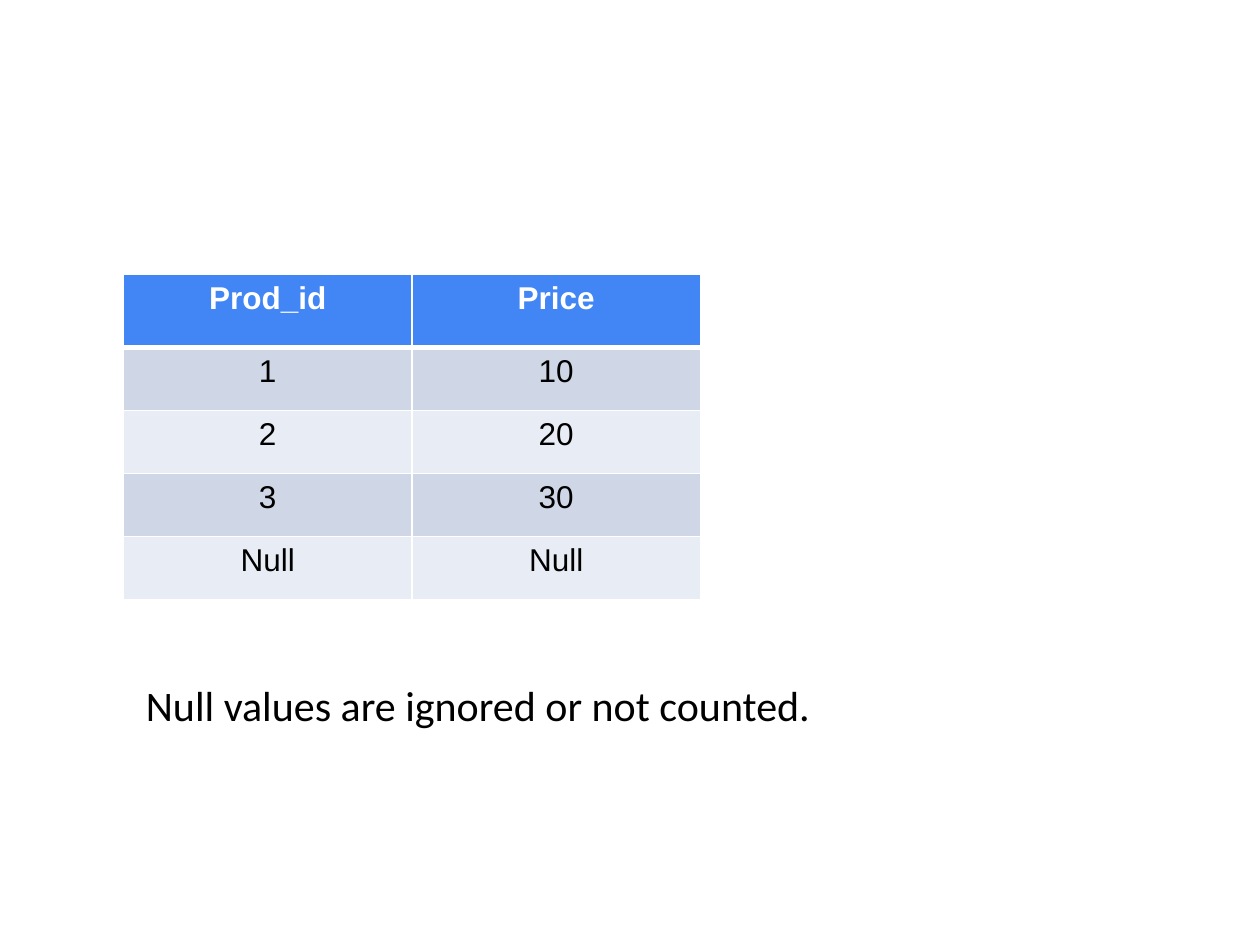
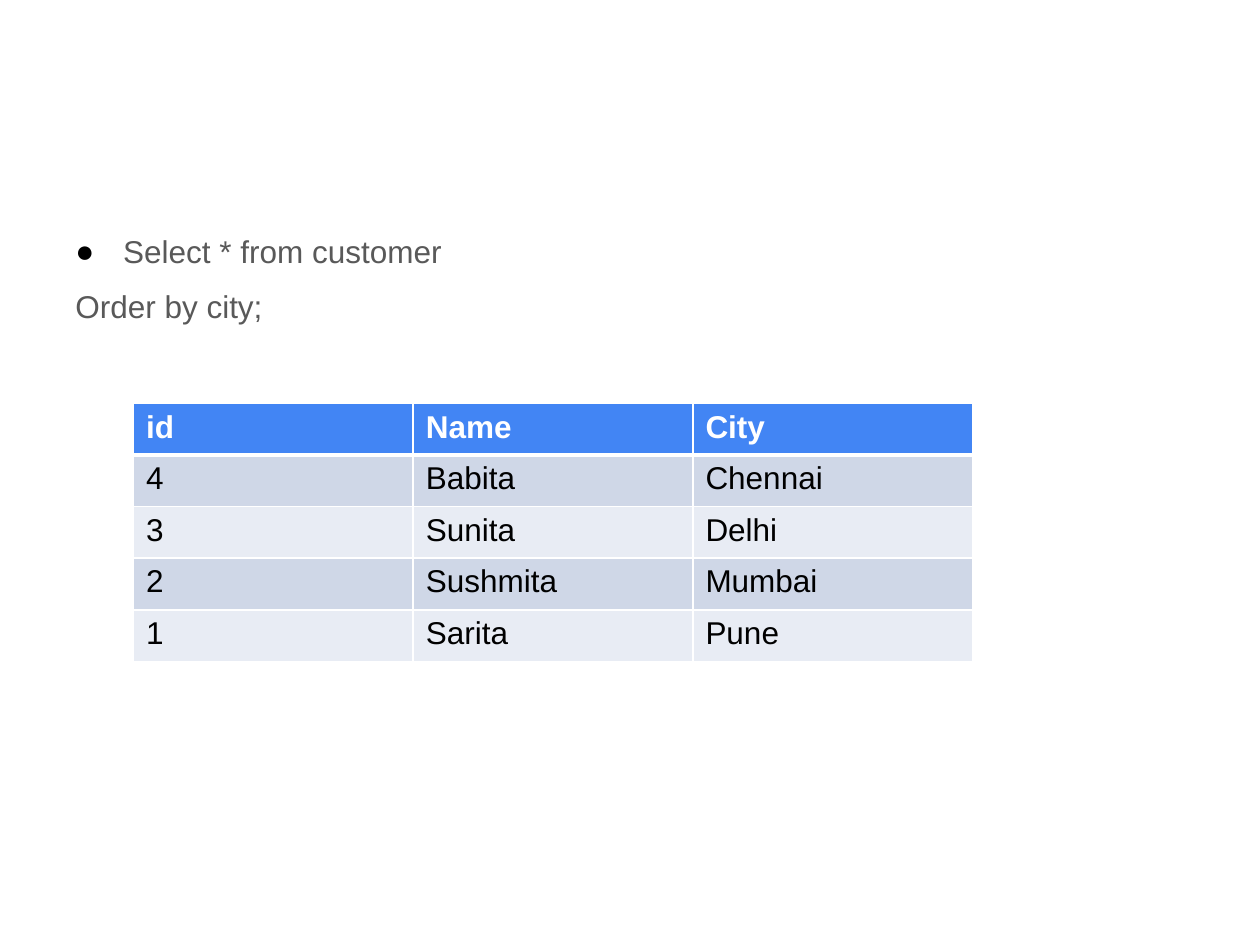
import dataclasses
import typing

import lxml.etree
import pptx
import pptx.dml.color
import pptx.enum.text
import pptx.oxml.ns
import pptx.util

Inches = pptx.util.Inches
Align = pptx.enum.text.PP_ALIGN
qn = pptx.oxml.ns.qn


@dataclasses.dataclass(frozen=True)
class Theme:
    white: str = "FFFFFF"
    black: str = "000000"
    grey: str = "595959"
    head: str = "4285F4"
    bands: tuple[str, str] = ("CFD7E7", "E8ECF4")
    sans: str = "Arial"
    note: str = "Calibri"
    body: int = 18
    large: int = 24
    thin: int = 1
    thick: int = 3


@dataclasses.dataclass(frozen=True)
class Grid:
    left: float
    top: float
    width: float
    heights: tuple[float, ...]
    rows: tuple[tuple[str, ...], ...]
    align: typing.Any = Align.LEFT


THEME = Theme()

PRICES = Grid(
    0.98, 2.18, 2.29, (0.58,) + (0.5,) * 4,
    (("Prod_id", "Price"), ("1", "10"), ("2", "20"), ("3", "30"), ("Null", "Null")),
    Align.CENTER,
)
CITIES = Grid(
    1.06, 3.2, 2.22, (0.41,) * 5,
    (
        ("id", "Name", "City"),
        ("4", "Babita", "Chennai"),
        ("3", "Sunita", "Delhi"),
        ("2", "Sushmita", "Mumbai"),
        ("1", "Sarita", "Pune"),
    ),
)


def tint(code: str) -> pptx.dml.color.RGBColor:
    return pptx.dml.color.RGBColor.from_string(code)


def bullet(para: typing.Any, mark: str, indent: float) -> None:
    props = para._p.get_or_add_pPr()
    props.set("marL", str(Inches(indent)))
    props.set("indent", str(-Inches(indent)))
    color = lxml.etree.SubElement(props, qn("a:buClr"))
    lxml.etree.SubElement(color, qn("a:srgbClr"), val=THEME.black)
    lxml.etree.SubElement(props, qn("a:buFont"), typeface=THEME.sans)
    lxml.etree.SubElement(props, qn("a:buChar"), char=mark)


def write(
    para: typing.Any, text: str, *, size: int = THEME.body, font: str = THEME.sans,
    color: str = THEME.black, bold: bool = False, align: typing.Any = Align.LEFT,
    mark: str = "", indent: float = 0.38, line: float = 1.0, before: float = 0,
) -> None:
    if mark:
        bullet(para, mark, indent)
    para.alignment = align
    para.line_spacing = line
    para.space_before = pptx.util.Pt(before)
    run = para.add_run()
    run.text = text
    run.font.size = pptx.util.Pt(size)
    run.font.name = font
    run.font.bold = bold
    run.font.color.rgb = tint(color)


def add_box(slide: typing.Any, left: float, top: float, width: float, height: float) -> typing.Any:
    shape = slide.shapes.add_textbox(Inches(left), Inches(top), Inches(width), Inches(height))
    shape.text_frame.word_wrap = True
    return shape.text_frame


def edge(cell: typing.Any, row: int) -> None:
    props = cell._tc.get_or_add_tcPr()
    thick = {0: "lnB", 1: "lnT"}.get(row)
    for side in ("lnL", "lnR", "lnT", "lnB"):
        width = THEME.thick if side == thick else THEME.thin
        rule = lxml.etree.SubElement(props, qn(f"a:{side}"), w=str(pptx.util.Pt(width)))
        fill = lxml.etree.SubElement(rule, qn("a:solidFill"))
        lxml.etree.SubElement(fill, qn("a:srgbClr"), val=THEME.white)


def add_grid(slide: typing.Any, grid: Grid) -> None:
    cols = len(grid.rows[0])
    table = slide.shapes.add_table(
        len(grid.rows), cols, Inches(grid.left), Inches(grid.top),
        Inches(grid.width * cols), Inches(sum(grid.heights)),
    ).table
    for column in table.columns:
        column.width = Inches(grid.width)
    for row, (values, height) in enumerate(zip(grid.rows, grid.heights)):
        table.rows[row].height = Inches(height)
        head = row == 0
        for col, value in enumerate(values):
            cell = table.cell(row, col)
            edge(cell, row)
            cell.fill.solid()
            cell.fill.fore_color.rgb = tint(THEME.head if head else THEME.bands[(row - 1) % 2])
            write(
                cell.text_frame.paragraphs[0], value, bold=head, align=grid.align,
                color=THEME.white if head else THEME.black,
            )


def add_nulls(slide: typing.Any) -> None:
    add_grid(slide, PRICES)
    frame = add_box(slide, 1.06, 5.34, 5.6, 0.5)
    write(
        frame.paragraphs[0], "Null values are ignored or not counted.",
        size=THEME.large, font=THEME.note,
    )


def add_order(slide: typing.Any) -> None:
    frame = add_box(slide, 0.5, 1.75, 9, 4.95)
    write(frame.paragraphs[0], "Select * from customer", color=THEME.grey, mark="●", line=1.15)
    write(frame.add_paragraph(), "Order by city;", color=THEME.grey, line=1.15, before=6.4)
    add_grid(slide, CITIES)


def main() -> None:
    deck = pptx.Presentation()
    deck.slide_width = Inches(10)
    deck.slide_height = Inches(7.5)
    for draw in (add_nulls, add_order):
        slide = deck.slides.add_slide(deck.slide_layouts[6])
        slide.background.fill.solid()
        slide.background.fill.fore_color.rgb = tint(THEME.white)
        draw(slide)
    deck.save("out.pptx")


if __name__ == "__main__":
    main()
